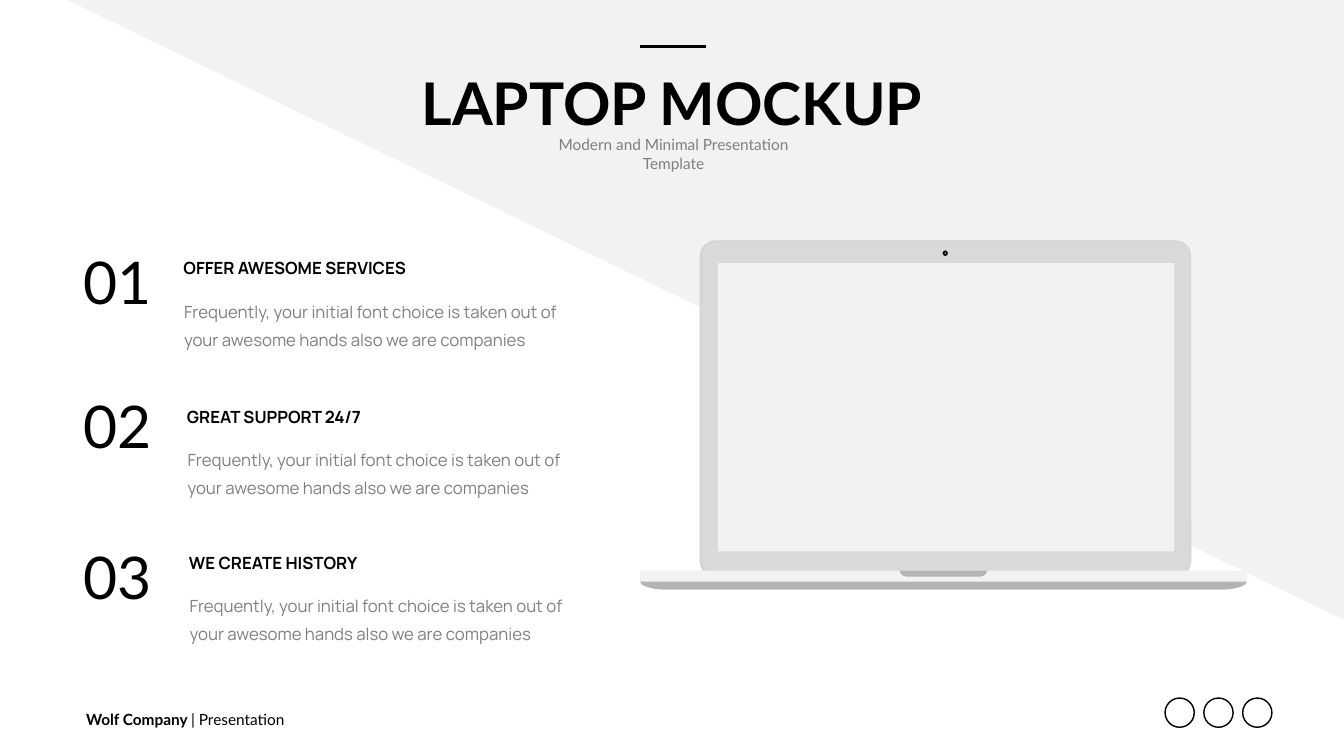
from dataclasses import dataclass
from math import cos, pi, sin

from lxml.etree import SubElement
from pptx import Presentation
from pptx.dml.color import RGBColor
from pptx.enum.shapes import MSO_CONNECTOR, MSO_SHAPE as Preset
from pptx.enum.text import MSO_ANCHOR as Anchor, MSO_AUTO_SIZE as AutoSize, PP_ALIGN as Align
from pptx.oxml.ns import qn
from pptx.util import Pt

EMU_PER_PX = 9144  # 100 px to the inch
SLIDE_WIDTH, SLIDE_HEIGHT = 2666, 1500
BLACK, GREY, PALE = "000000", "7F7F7F", "F2F2F2"
BODY_TEXT = ("Frequently, your initial font choice is taken out of "
             "your awesome hands also we are companies")


@dataclass(frozen=True)
class Box:
    left: int
    top: int
    width: int
    height: int

    def emu(self) -> tuple:
        return tuple(px(v) for v in (self.left, self.top, self.width, self.height))


@dataclass(frozen=True)
class TextStyle:
    font: str
    size: int
    color: str = BLACK
    bold: bool = False
    align: Align = Align.LEFT
    anchor: Anchor = Anchor.TOP


@dataclass(frozen=True)
class Feature:
    number: str
    number_top: int
    heading: str
    left: int
    top: int
    width: int


@dataclass(frozen=True)
class Part:
    preset: Preset
    box: Box
    color: str
    radius: int = 0


TITLE = TextStyle("Lato", 84, bold=True, align=Align.CENTER)
SUBTITLE = TextStyle("Lato", 22, GREY, align=Align.CENTER, anchor=Anchor.MIDDLE)
NUMBER = TextStyle("Lato", 84, align=Align.CENTER)
HEADING = TextStyle("Manrope", 24, bold=True, anchor=Anchor.MIDDLE)
BODY = TextStyle("Manrope", 24, GREY)
FOOTER = TextStyle("Lato", 22, anchor=Anchor.MIDDLE)

FEATURES = [
    Feature("01", 482, "OFFER AWESOME SERVICES", 354, 507, 477),
    Feature("02", 769, "GREAT SUPPORT 24/7", 361, 801, 381),
    Feature("03", 1067, "WE CREATE HISTORY", 365, 1091, 366),
]
LID = [
    Part(Preset.ROUNDED_RECTANGLE, Box(1388, 477, 975, 668), "D2D3D5", 31),
    Part(Preset.ROUNDED_RECTANGLE, Box(1392, 480, 969, 661), "D9D9D9", 27),
    Part(Preset.RECTANGLE, Box(1270, 1132, 1204, 22), PALE),
]
SCREEN_AND_CAMERA = [
    Part(Preset.RECTANGLE, Box(1424, 522, 905, 572), PALE),
    Part(Preset.OVAL, Box(1870, 498, 10, 10), "2C2C2C"),
    Part(Preset.OVAL, Box(1870, 497, 10, 10), "0A0A0A"),
    Part(Preset.OVAL, Box(1872, 499, 6, 7), BLACK),
    Part(Preset.OVAL, Box(1874, 501, 3, 3), "2C99B4"),
    Part(Preset.DIAMOND, Box(1875, 501, 1, 2), "FFFFFF"),
]


def px(value: float) -> int:
    return round(value * EMU_PER_PX)


def rgb(color: str) -> RGBColor:
    return RGBColor.from_string(color)


def paint(shape, color: str) -> None:
    shape.shadow.inherit = False
    shape.fill.solid()
    shape.fill.fore_color.rgb = rgb(color)
    shape.line.fill.background()


def add_part(slide, part: Part):
    shape = slide.shapes.add_shape(part.preset, *part.box.emu())
    if part.radius:
        shape.adjustments[0] = part.radius / min(part.box.width, part.box.height)
    paint(shape, part.color)
    return shape


def add_tray(slide, box: Box, corner_width: int, corner_height: int, color: str) -> None:
    """Draw a flat-topped plate whose two lower corners are elliptical."""
    steps = 16
    right, bottom = box.left + box.width, box.top + box.height
    angles = [pi / 2 * step / steps for step in range(steps + 1)]
    corner = [(corner_width * (1 - cos(a)), bottom - corner_height * (1 - sin(a)))
              for a in angles]
    outline = [(box.left + x, y) for x, y in corner]
    outline += [(right - x, y) for x, y in reversed(corner)]
    outline.append((right, box.top))
    builder = slide.shapes.build_freeform(px(box.left), px(box.top), scale=1.0)
    builder.add_line_segments([(px(x), px(y)) for x, y in outline], close=True)
    paint(builder.convert_to_shape(), color)


def add_text(slide, box: Box, text: str, style: TextStyle, wrap: bool = False):
    text_box = slide.shapes.add_textbox(*box.emu())
    frame = text_box.text_frame
    frame.text = text
    frame.word_wrap = wrap
    frame.auto_size = AutoSize.NONE if wrap else AutoSize.SHAPE_TO_FIT_TEXT
    frame.vertical_anchor = style.anchor
    paragraph = frame.paragraphs[0]
    paragraph.alignment = style.align
    for run in paragraph.runs:
        format_run(run, style)
    return frame


def format_run(run, style: TextStyle) -> None:
    run.font.name = style.font
    run.font.size = Pt(style.size)
    run.font.bold = style.bold
    run.font.color.rgb = rgb(style.color)


def add_feature(slide, feature: Feature) -> None:
    body_box = Box(feature.left - 13, feature.top + 63, 835, 136)
    body = add_text(slide, body_box, BODY_TEXT, BODY, wrap=True)
    body.margin_left = body.margin_right = px(24)
    body.margin_top = body.margin_bottom = px(12)
    body.paragraphs[0].line_spacing = Pt(40.4)
    heading_box = Box(feature.left, feature.top, feature.width, 50)
    add_text(slide, heading_box, feature.heading, HEADING)
    add_text(slide, Box(155, feature.number_top, 157, 151), feature.number, NUMBER)


def add_header(slide) -> None:
    rule = slide.shapes.add_connector(
        MSO_CONNECTOR.STRAIGHT, px(1270), px(92), px(1400), px(92))
    rule.line.color.rgb = rgb(BLACK)
    rule.line.width = Pt(4.5)
    SubElement(rule._element.spPr, qn("a:effectLst"))
    add_text(slide, Box(818, 128, 1030, 151), "LAPTOP MOCKUP", TITLE)
    add_text(slide, Box(1038, 282, 596, 47),
             "Modern and Minimal Presentation Template", SUBTITLE, wrap=True)


def add_laptop(slide) -> None:
    add_tray(slide, Box(1270, 1143, 1203, 27), 53, 16, "B3B4B5")
    for part in LID:
        add_part(slide, part)
    add_tray(slide, Box(1785, 1132, 173, 12), 15, 12, "B3B4B5")
    for part in SCREEN_AND_CAMERA:
        add_part(slide, part)


def add_footer(slide) -> None:
    frame = add_text(slide, Box(161, 1403, 417, 47), "Wolf Company ", FOOTER)
    paragraph = frame.paragraphs[0]
    paragraph.runs[0].font.bold = True
    run = paragraph.add_run()
    run.text = "| Presentation"
    format_run(run, FOOTER)
    for index in range(3):
        ring = slide.shapes.add_shape(
            Preset.OVAL, *Box(2311 + 77 * index, 1385, 58, 58).emu())
        ring.shadow.inherit = False
        ring.fill.background()
        ring.line.color.rgb = rgb(BLACK)
        ring.line.width = Pt(2)


def main() -> None:
    presentation = Presentation()
    presentation.slide_width, presentation.slide_height = px(SLIDE_WIDTH), px(SLIDE_HEIGHT)
    slide = presentation.slides.add_slide(presentation.slide_layouts[6])
    add_footer(slide)
    backdrop = add_part(slide, Part(Preset.RIGHT_TRIANGLE, Box(134, 0, 2532, 1230), PALE))
    backdrop.rotation = 180
    add_laptop(slide)
    add_header(slide)
    for feature in FEATURES:
        add_feature(slide, feature)
    presentation.save("out.pptx")


if __name__ == "__main__":
    main()
